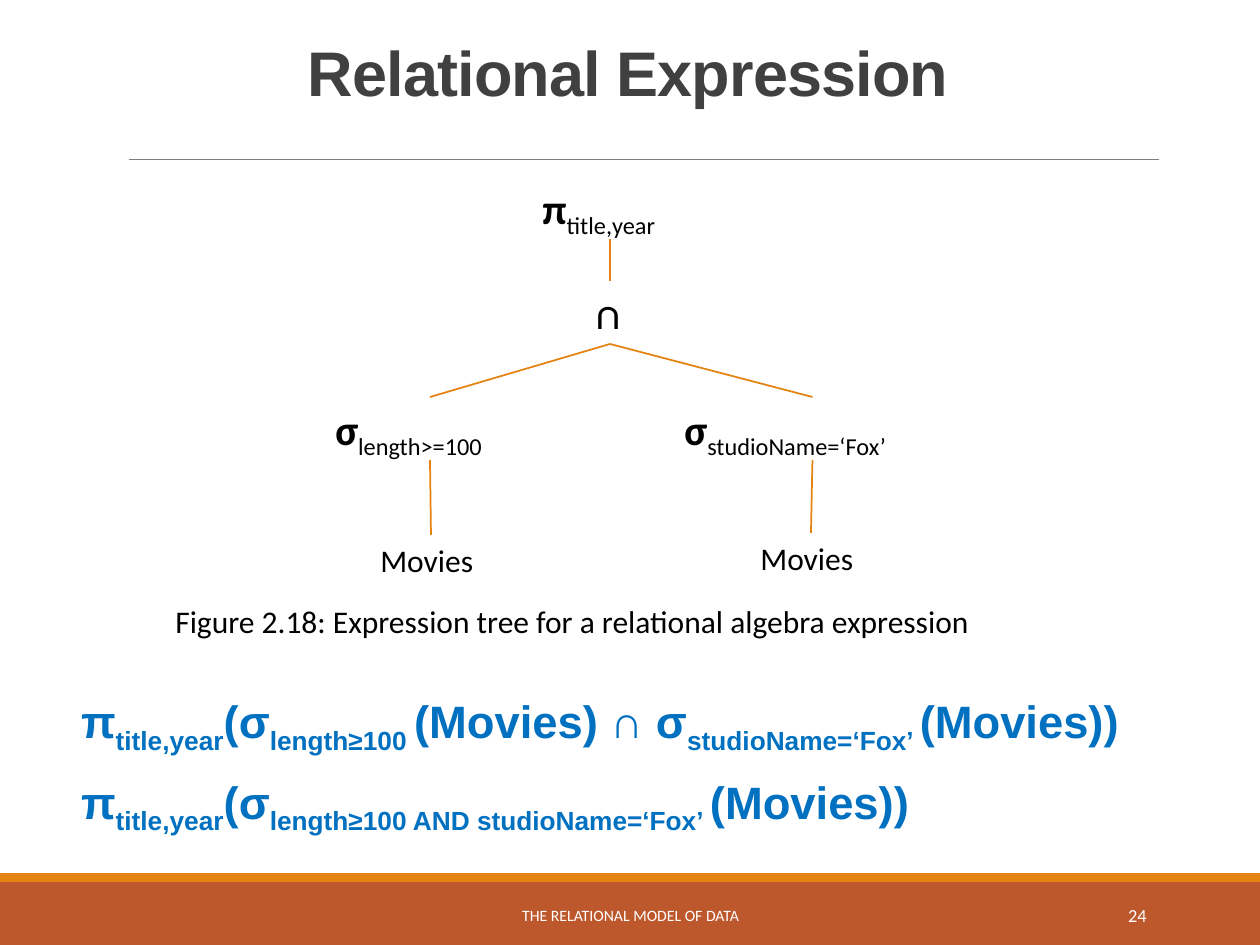
"""Build the slide with the relational expression tree and its formulas."""
from dataclasses import dataclass

from lxml.etree import SubElement
from pptx import Presentation
from pptx.dml.color import RGBColor
from pptx.enum.shapes import MSO_CONNECTOR, MSO_SHAPE
from pptx.enum.text import MSO_ANCHOR, MSO_AUTO_SIZE, PP_ALIGN
from pptx.oxml.ns import qn
from pptx.util import Emu, Pt

COLORS = {
    "band": "BD582C", "accent": "E48312", "rule": "808080", "title": "404040",
    "white": "FFFFFF", "text": "000000", "formula": "0070C0",
}
PX_PER_INCH = 126
TOP, BOTTOM = 0, 2


@dataclass(frozen=True)
class Box:
    x: int
    y: int
    w: int
    h: int


@dataclass(frozen=True)
class Run:
    text: str
    bold: bool = False
    sub: bool = False


@dataclass(frozen=True)
class Node:
    name: str
    box: Box
    runs: tuple[Run, ...]
    size: int = 24


@dataclass(frozen=True)
class Label:
    text: str
    box: Box
    size: float
    align: PP_ALIGN


NODES = (
    Node("project", Box(530, 176, 160, 63), (Run("π", True), Run("title,year", sub=True))),
    Node("intersect", Box(581, 281, 58, 63), (Run("∩", True),)),
    Node("by_length", Box(323, 397, 214, 63), (Run("σ", True), Run("length>=100", sub=True))),
    Node("by_studio", Box(672, 397, 281, 63), (Run("σ", True), Run("studioName=‘Fox’", sub=True))),
    Node("left_movies", Box(368, 535, 126, 50), (Run("Movies"),), 18),
    Node("right_movies", Box(748, 533, 126, 50), (Run("Movies"),), 18),
    Node("caption", Box(163, 596, 905, 50),
         (Run("Figure 2.18: Expression tree for a relational algebra expression"),), 18),
)
EDGES = (
    ("project", "intersect"), ("intersect", "by_length"), ("intersect", "by_studio"),
    ("by_length", "left_movies"), ("by_studio", "right_movies"),
)
LABELS = (
    Label("THE RELATIONAL MODEL OF DATA", Box(381, 890, 499, 50), 9, PP_ALIGN.CENTER),
    Label("24", Box(1023, 890, 136, 50), 10.5, PP_ALIGN.RIGHT),
)
FORMULA_START = (Run("π", True), Run("title,year", True, True), Run("(σ", True))
FORMULAS = (
    FORMULA_START + (
        Run("length≥100 ", True, True), Run("(Movies) ∩ σ", True),
        Run("studioName=‘Fox’ ", True, True), Run("(Movies))", True)),
    FORMULA_START + (
        Run("length≥100 AND studioName=‘Fox’ ", True, True), Run("(Movies))", True)),
)


def px(n: int) -> Emu:
    return Emu(round(n * 914400 / PX_PER_INCH))


def rgb(name: str) -> RGBColor:
    return RGBColor.from_string(COLORS[name])


def place(box: Box) -> tuple[Emu, ...]:
    return px(box.x), px(box.y), px(box.w), px(box.h)


def add_run(p, run: Run, size: float, color: str, font: str = "Calibri"):
    r = p.add_run()
    r.text = run.text
    r.font.name = font
    r.font.size = Pt(size)
    r.font.bold = run.bold
    r.font.color.rgb = rgb(color)
    if run.sub:
        r.font._element.set("baseline", "-25000")
    return r


def add_band(s, box: Box, color: str) -> None:
    sp = s.shapes.add_shape(MSO_SHAPE.RECTANGLE, *place(box))
    sp.shadow.inherit = False
    sp.fill.solid()
    sp.fill.fore_color.rgb = rgb(color)
    sp.line.fill.background()


def add_line(s, start: tuple[int, int], end: tuple[int, int], color: str, width: float):
    line = s.shapes.add_connector(MSO_CONNECTOR.STRAIGHT, *map(px, start + end))
    line.line.color.rgb = rgb(color)
    line.line.width = Pt(width)
    SubElement(line._element.spPr, qn("a:effectLst"))
    return line


def add_title(s, text: str, box: Box) -> None:
    sp = s.shapes.title
    sp.left, sp.top, sp.width, sp.height = place(box)
    tf = sp.text_frame
    tf.auto_size = MSO_AUTO_SIZE.NONE
    tf.vertical_anchor = MSO_ANCHOR.TOP
    p = tf.paragraphs[0]
    p.alignment = PP_ALIGN.CENTER
    p.line_spacing = 0.85
    r = add_run(p, Run(text, True), 36, "title", "Arial")
    r.font._element.set("spc", "-50")


def add_label(s, label: Label) -> None:
    tf = s.shapes.add_textbox(*place(label.box)).text_frame
    tf.word_wrap = True
    tf.vertical_anchor = MSO_ANCHOR.MIDDLE
    p = tf.paragraphs[0]
    p.alignment = label.align
    add_run(p, Run(label.text), label.size, "white")


def add_node(s, node: Node):
    sp = s.shapes.add_textbox(*place(node.box))
    tf = sp.text_frame
    tf.word_wrap = False
    tf.auto_size = MSO_AUTO_SIZE.SHAPE_TO_FIT_TEXT
    for run in node.runs:
        add_run(tf.paragraphs[0], run, node.size, "text")
    return sp


def add_formulas(s, box: Box) -> None:
    tf = s.shapes.add_textbox(*place(box)).text_frame
    tf.word_wrap = True
    tf.margin_left, tf.margin_top, tf.margin_right, tf.margin_bottom = map(px, (8, 13, 13, 6))
    for i, runs in enumerate(FORMULAS):
        p = tf.add_paragraph() if i else tf.paragraphs[0]
        p.line_spacing = 1.3
        pPr = p._p.get_or_add_pPr()
        pPr.set("marL", str(px(60)))
        pPr.set("indent", str(px(-44)))
        for run in runs:
            add_run(p, run, 25.9, "formula", "Arial")


def main() -> None:
    prs = Presentation()
    prs.slide_width, prs.slide_height = px(1260), px(945)
    s = prs.slides.add_slide(prs.slide_layouts[5])
    add_band(s, Box(0, 882, 1260, 63), "band")
    add_band(s, Box(0, 873, 1260, 9), "accent")
    add_line(s, (129, 159), (1159, 159), "rule", 0.5)
    add_title(s, "Relational Expression", Box(81, 39, 1094, 116))
    for label in LABELS:
        add_label(s, label)
    shapes = {node.name: add_node(s, node) for node in NODES}
    for parent, child in EDGES:
        line = add_line(s, (0, 0), (0, 0), "accent", 1)
        line.begin_connect(shapes[parent], BOTTOM)
        line.end_connect(shapes[child], TOP)
    add_formulas(s, Box(57, 662, 1166, 168))
    prs.save("out.pptx")


if __name__ == "__main__":
    main()
